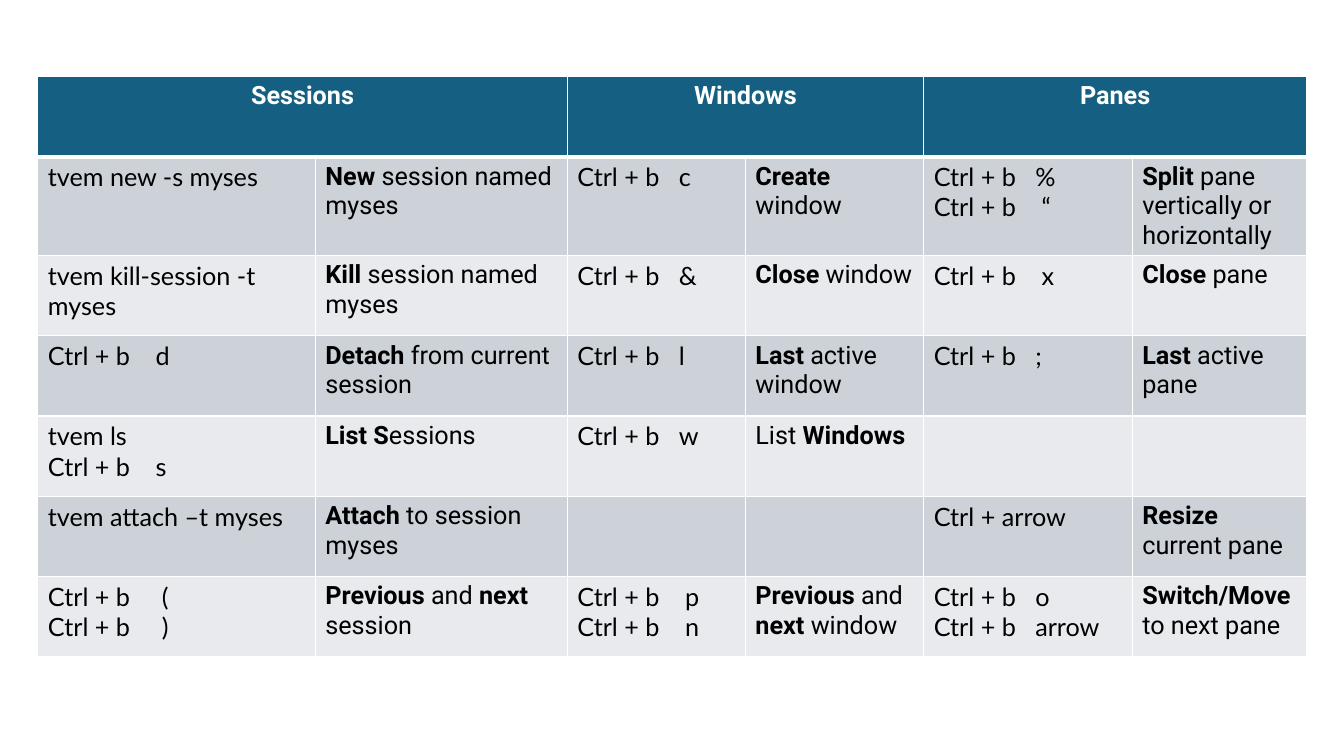
"""Build a one-slide terminal shortcut table for sessions, windows and panes."""
import pptx
import pptx.dml.color
import pptx.enum.text
import pptx.oxml
import pptx.oxml.ns
import pptx.util
from dataclasses import dataclass

Pt = pptx.util.Pt


@dataclass(frozen=True)
class Theme:
    header: str = "156082"
    bands: tuple = ("CCD2D8", "E8EAED")
    border: str = "FFFFFF"
    header_text: str = "FFFFFF"
    body_text: str = "000000"
    command_font: str = "Lato"
    label_font: str = "Roboto"
    size: int = 18
    thin: int = 1
    thick: int = 3


THEME = Theme()
NEAR, MIDDLE, FAR = 72.5, 77, 81.5


def chord(key, stop=NEAR):
    return "Ctrl + b\t" + key, stop


def command(text):
    return text, None


HEADINGS = ["Sessions", "Windows", "Panes"]
ROWS = [
    [[command("tvem new -s myses")], "*New *session named myses",
     [chord("c")], "*Create* window",
     [chord("%"), chord("“", MIDDLE)], "*Split* pane vertically or horizontally"],
    [[command("tvem kill-session -t myses")], "*Kill *session named myses",
     [chord("&")], "*Close* window",
     [chord("x", MIDDLE)], "*Close* pane"],
    [[chord("d", MIDDLE)], "*Detach* from current session",
     [chord("l")], "*Last* active window",
     [chord(";")], "*Last* active pane"],
    [[command("tvem ls"), chord("s", MIDDLE)], "*List S*essions",
     [chord("w")], "List *Windows*",
     [], ""],
    [[command("tvem attach –t myses")], "*Attach* to session myses",
     [], "",
     [command("Ctrl + arrow")], "*Resize* current pane"],
    [[chord("(", FAR), chord(")", FAR)], "*Previous* and *next* session",
     [chord("p", MIDDLE), chord("n", MIDDLE)], "*Previous* and *next* window",
     [chord("o"), chord("arrow")], "*Switch/Move* to next pane"],
]
SLIDE_SIZE = (960, 540)
TABLE_LEFT, TABLE_TOP = 27, 54.7
COLUMN_WIDTHS = [198.2, 180, 127.2, 127.4, 149, 124.6]
ROW_HEIGHT, TALL_ROW_HEIGHT = 57.3, 70.5
ROW_HEIGHTS = [ROW_HEIGHT, TALL_ROW_HEIGHT] + [ROW_HEIGHT] * (len(ROWS) - 1)


def rgb(colour):
    return pptx.dml.color.RGBColor.from_string(colour)


def add_span(para, text, font, colour, bold=False):
    span = para.add_run()
    span.text = text
    span.font.name = font
    span.font.size = Pt(THEME.size)
    span.font.bold = bold
    span.font.color.rgb = rgb(colour)


def set_tab_stop(para, stop):
    namespace = pptx.oxml.ns.nsdecls("a")
    para._p.get_or_add_pPr().append(pptx.oxml.parse_xml(
        f'<a:tabLst {namespace}><a:tab pos="{Pt(stop)}" algn="l"/></a:tabLst>'))


def write_commands(cell, lines):
    frame = cell.text_frame
    for index, (text, stop) in enumerate(lines):
        para = frame.add_paragraph() if index else frame.paragraphs[0]
        if stop:
            set_tab_stop(para, stop)
        add_span(para, text, THEME.command_font, THEME.body_text)


def write_label(cell, label):
    para = cell.text_frame.paragraphs[0]
    for index, text in enumerate(label.split("*")):
        if text:
            add_span(para, text, THEME.label_font, THEME.body_text, index % 2 == 1)


def write_heading(cell, heading):
    para = cell.text_frame.paragraphs[0]
    para.alignment = pptx.enum.text.PP_ALIGN.CENTER
    add_span(para, heading, THEME.label_font, THEME.header_text, True)


def style_cell(cell, row):
    namespace = pptx.oxml.ns.nsdecls("a")
    properties = cell._tc.get_or_add_tcPr()
    thick_edge = {0: "B", 1: "T"}.get(row)
    for edge in "LRTB":
        width = THEME.thick if edge == thick_edge else THEME.thin
        properties.append(pptx.oxml.parse_xml(
            f'<a:ln{edge} {namespace} w="{Pt(width)}"><a:solidFill>'
            f'<a:srgbClr val="{THEME.border}"/></a:solidFill></a:ln{edge}>'))
    cell.fill.solid()
    cell.fill.fore_color.rgb = rgb(THEME.bands[(row - 1) % 2] if row else THEME.header)


def main():
    deck = pptx.Presentation()
    deck.slide_width, deck.slide_height = map(Pt, SLIDE_SIZE)
    page = deck.slides.add_slide(deck.slide_layouts[6])
    table = page.shapes.add_table(
        len(ROW_HEIGHTS), len(COLUMN_WIDTHS), Pt(TABLE_LEFT), Pt(TABLE_TOP),
        Pt(sum(COLUMN_WIDTHS)), Pt(sum(ROW_HEIGHTS))).table
    for column, width in zip(table.columns, COLUMN_WIDTHS):
        column.width = Pt(width)
    for row, height in zip(table.rows, ROW_HEIGHTS):
        row.height = Pt(height)
    for row in range(len(ROW_HEIGHTS)):
        for column in range(len(COLUMN_WIDTHS)):
            style_cell(table.cell(row, column), row)
    for index, heading in enumerate(HEADINGS):
        cell = table.cell(0, 2 * index)
        cell.merge(table.cell(0, 2 * index + 1))
        write_heading(cell, heading)
    for row, entries in enumerate(ROWS, start=1):
        for column, entry in enumerate(entries):
            write = write_label if column % 2 else write_commands
            write(table.cell(row, column), entry)
    deck.save("out.pptx")


if __name__ == "__main__":
    main()
